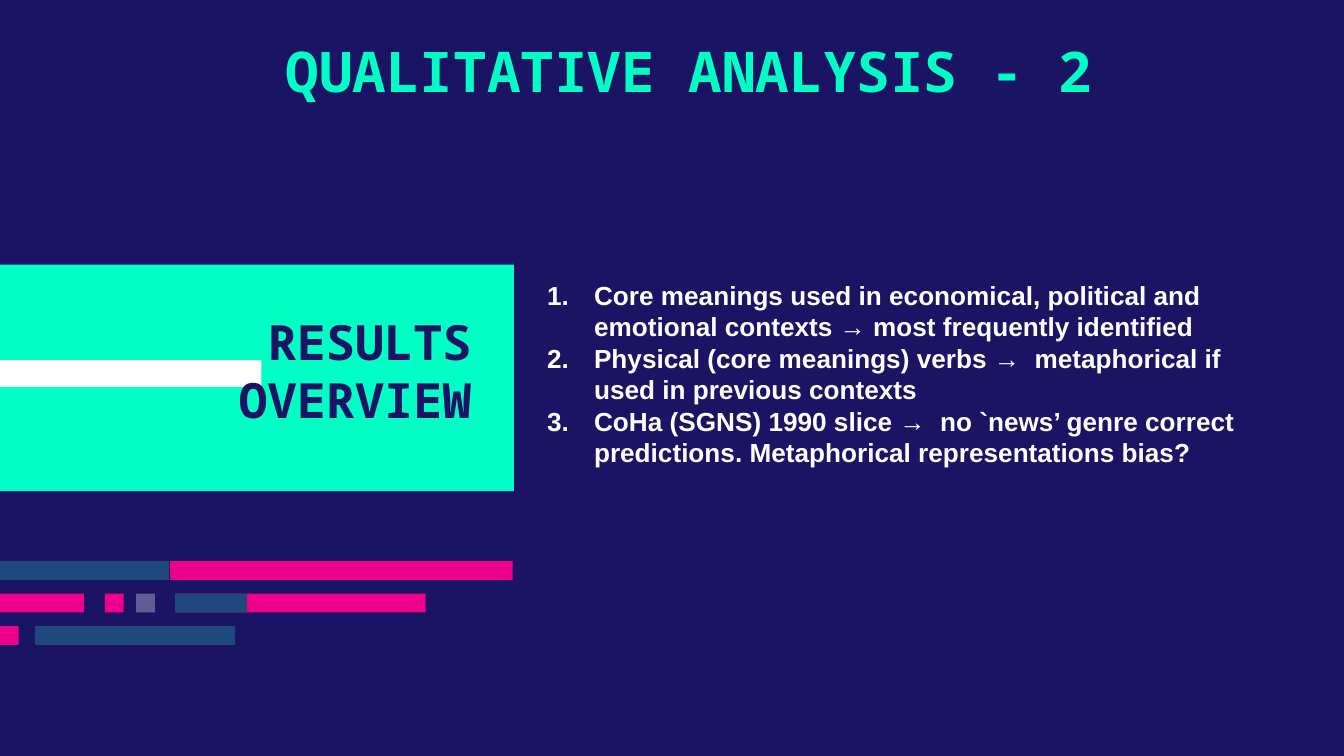
from lxml import etree
from pptx import Presentation
from pptx.dml.color import RGBColor
from pptx.enum.shapes import MSO_SHAPE
from pptx.enum.text import MSO_ANCHOR, MSO_AUTO_SIZE, PP_ALIGN
from pptx.oxml.ns import qn
from pptx.util import Inches, Pt

RECT = MSO_SHAPE.RECTANGLE
TOP, MIDDLE = MSO_ANCHOR.TOP, MSO_ANCHOR.MIDDLE
LEFT, CENTER, RIGHT = PP_ALIGN.LEFT, PP_ALIGN.CENTER, PP_ALIGN.RIGHT
NO_FIT = MSO_AUTO_SIZE.NONE

COLORS = {"navy": "1B1464", "mint": "00FFC5", "pink": "EC008C",
          "blue": "1F497D", "white": "FFFFFF"}
HEAD, BODY = "Noto Sans Mono", "Arial"
CELL = 0.1


def rgb(name):
    return RGBColor.from_string(COLORS[name])


class Deck:
    """Holds the style and the current slide, on a grid of 100 columns by 56.25 rows."""

    def __init__(self):
        self.prs = Presentation()
        self.prs.slide_width, self.prs.slide_height = self.cells(100, 56.25)
        self.s = self.prs.slides.add_slide(self.prs.slide_layouts[1])
        fill = self.s.background.fill
        fill.solid()
        fill.fore_color.rgb = rgb("navy")

    def cells(self, *counts):
        return [Inches(n * CELL) for n in counts]

    def block(self, col, row, cols, rows, color, alpha=None):
        sp = self.s.shapes.add_shape(RECT, *self.cells(col, row, cols, rows))
        sp.shadow.inherit = False
        sp.fill.solid()
        sp.fill.fore_color.rgb = rgb(color)
        sp.line.fill.background()
        if alpha:
            clr = sp._element.spPr.find(".//" + qn("a:srgbClr"))
            etree.SubElement(clr, qn("a:alpha"), val=str(alpha * 1000))

    def text(self, sp, at, lines, font, size, color, align, anchor, pad=1, numbered=False):
        sp.left, sp.top, sp.width, sp.height = self.cells(*at)
        tf = sp.text_frame
        tf.word_wrap, tf.auto_size, tf.vertical_anchor = True, NO_FIT, anchor
        tf.margin_left = tf.margin_right = Inches(CELL)
        tf.margin_top = tf.margin_bottom = Inches(pad * CELL)
        for i, line in enumerate(lines):
            p = tf.add_paragraph() if i else tf.paragraphs[0]
            p.alignment = align
            p.space_before = p.space_after = Pt(0)
            if numbered:
                self.number(p, color)
            r = p.add_run()
            r.text = line
            r.font.name, r.font.size, r.font.bold = font, Pt(size), True
            r.font.color.rgb = rgb(color)

    def number(self, p, color):
        pPr = p._p.get_or_add_pPr()
        pPr.set("marL", str(Inches(0.5)))
        pPr.set("indent", str(-Inches(0.35)))
        clr = etree.SubElement(pPr, qn("a:buClr"))
        etree.SubElement(clr, qn("a:srgbClr"), val=COLORS[color])
        etree.SubElement(pPr, qn("a:buFont"), typeface=BODY)
        etree.SubElement(pPr, qn("a:buAutoNum"), type="arabicPeriod")

    def title(self, at, line):
        self.text(self.s.shapes.title, at, [line], HEAD, 30, "mint", CENTER, TOP)

    def points(self, at, lines):
        self.text(self.s.placeholders[1], at, lines, BODY, 14, "white", LEFT, MIDDLE,
                  numbered=True)

    def label(self, at, line):
        sp = self.s.shapes.add_textbox(*self.cells(*at))
        self.text(sp, at, [line], HEAD, 26, "navy", RIGHT, MIDDLE, pad=0)


deck = Deck()
deck.title((14, 1.75, 72, 6.7), " QUALITATIVE ANALYSIS - 2")
deck.points((38.2, 20, 57.6, 15.6), [
    "Core meanings used in economical, political and emotional contexts → "
    "most frequently identified",
    "Physical (core meanings) verbs →  metaphorical if used in previous contexts",
    "CoHa (SGNS) 1990 slice →  no `news’ genre correct predictions. "
    "Metaphorical representations bias?",
])
deck.block(0, 19.7, 38.25, 16.85, "mint")
deck.block(0, 26.8, 19.45, 2, "white")
deck.label((9.5, 23.85, 26.6, 7.4), "RESULTS OVERVIEW")

BAR_TOP, BAR_STEP, BAR = 41.75, 2.42, 1.4
BAR_ROWS = [
    [(12.65, 25.5, "pink"), (0, 12.6, "blue")],
    [(13.03, 18.65, "pink"), (13.03, 5.35, "blue"), (0, 6.25, "pink"),
     (10.13, BAR, "white", 31), (7.8, BAR, "pink")],
    [(0, BAR, "pink"), (2.6, 14.9, "blue")],
]
for i, bars in enumerate(BAR_ROWS):
    for col, cols, *paint in bars:
        deck.block(col, BAR_TOP + i * BAR_STEP, cols, BAR, *paint)

deck.prs.save("out.pptx")
